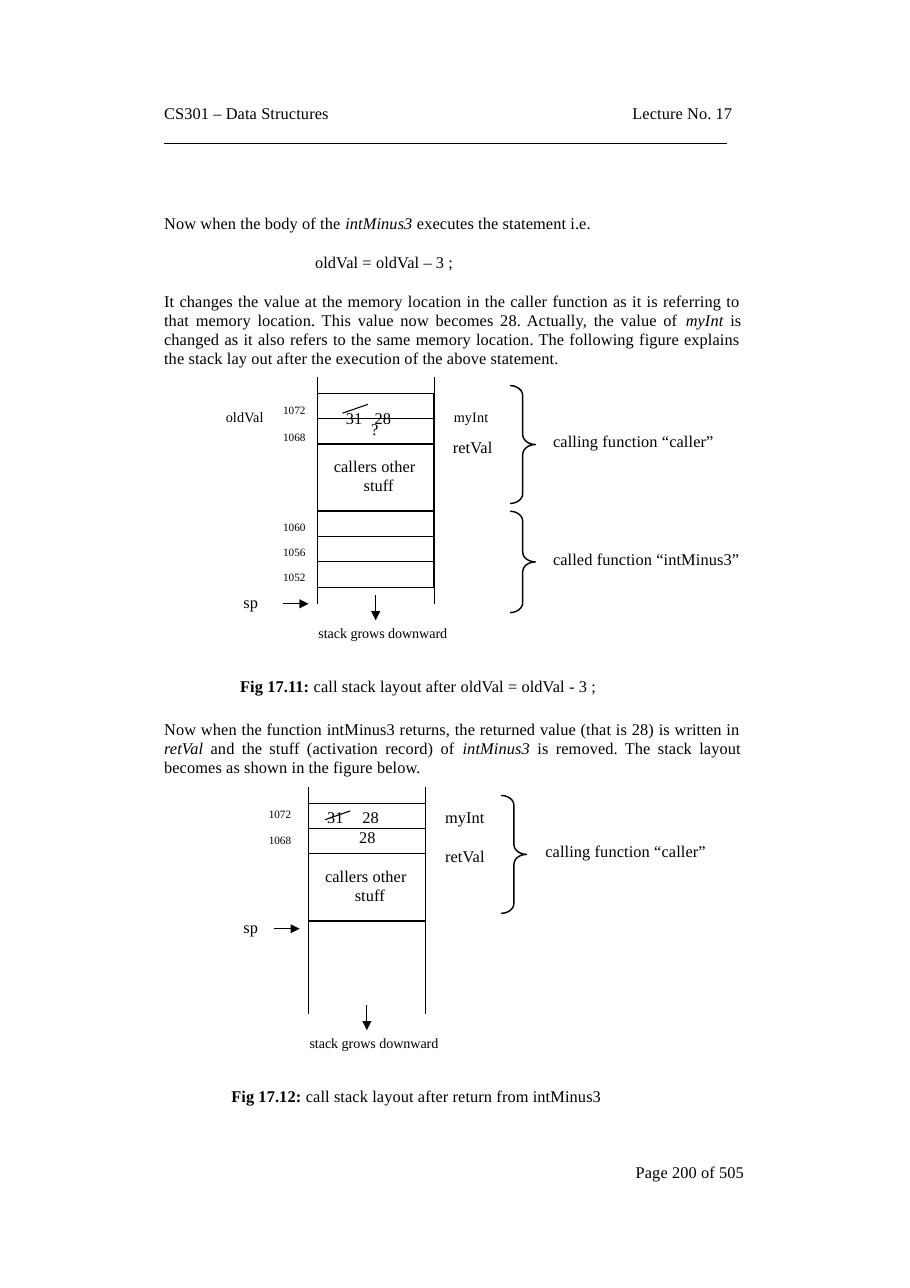
from lxml import etree
from pptx import Presentation
from pptx import util as u
from pptx.dml.color import RGBColor
from pptx.enum import shapes, text
from pptx.oxml import ns

PX = 9144  # 100 px to the inch
INK = "000000"
FONT = "Times New Roman"
BODY, NOTE, CAPTION, ADDRESS = 10.7, 9.3, 9.2, 7.3
LEADING = 12.4
SPACING = {BODY: 8, NOTE: 10, CAPTION: -6, ADDRESS: 0}

TITLE = "CS301 – Data Structures"
LINES = [  # x, y, text
    (574, 94, "Lecture No. 17"),
    (286, 229, "oldVal = oldVal – 3 ;"),
    (577, 1055, "Page 200 of 505"),
]
PARAGRAPHS = [  # y, height, runs of (text, style)
    (194, 18, [("Now when the body of the ", ""), ("intMinus3", "i"),
               (" executes the statement i.e.", "")]),
    (265, 70, [("It changes the value at the memory location in the caller function as "
                "it is referring to that memory location. This value now becomes 28. "
                "Actually, the value of ", ""), ("myInt", "i"),
               (" is changed as it also refers to the same memory location. The following "
                "figure explains the stack lay out after the execution of the above "
                "statement.", "")]),
    (653, 53, [("Now when the function intMinus3 returns, the returned value (that is 28) "
                "is written in ", ""), ("retVal", "i"),
               (" and the stuff (activation record) of ", ""), ("intMinus3", "i"),
               (" is removed. The stack layout becomes as shown in the figure below.", "")]),
]

# Stack offsets are measured from the top left corner of each stack.
STACK_W, WALL_TOP, WALL_BOTTOM = 106, -15, 191
FIGURES = [
    dict(
        at=(288, 357), height=176, dividers=[23, 46, 107, 130, 153], heavy=[107],
        braces=[(-7, 107), (107, 92)], sp=191, strike=(23, 18),
        labels=[(-83, 14, "oldVal", NOTE), (26, 13, "31", BODY), (52, 13, "28", BODY),
                (49, 23, "?", BODY), (124, 14, "myInt", NOTE), (123, 40, "retVal", BODY),
                (-31, 9, "1072", ADDRESS), (-31, 34, "1068", ADDRESS),
                (-31, 115, "1060", ADDRESS), (-31, 138, "1056", ADDRESS),
                (-31, 161, "1052", ADDRESS), (-67, 180, "sp", BODY),
                (214, 34, "calling function “caller”", BODY),
                (214, 141, "called function “intMinus3”", BODY)],
        caption=[("Fig 17.11: ", "b"), ("call stack layout after oldVal = oldVal - 3 ;", "")],
    ),
    dict(
        at=(280, 729), height=107, dividers=[23, 46], heavy=[],
        braces=[(-7, 107)], sp=114, strike=(15, 15),
        labels=[(17, 4, "31", BODY), (49, 4, "28", BODY), (46, 22, "28", BODY),
                (124, 4, "myInt", BODY), (124, 39, "retVal", BODY),
                (-36, 4, "1072", ADDRESS), (-36, 27, "1068", ADDRESS),
                (-59, 103, "sp", BODY), (215, 34, "calling function “caller”", BODY)],
        caption=[("Fig 17.12: ", "b"),
                 ("call stack layout after return from intMinus3", "")],
    ),
]


def px(*values):
    return [u.Emu(round(v * PX)) for v in values]


def rgb(value):
    return RGBColor.from_string(value)


def write(sp, runs, size, wrap=False):
    """Fill a text shape with one left-aligned paragraph of styled runs."""
    tf = sp.text_frame
    tf.margin_left = tf.margin_right = tf.margin_top = tf.margin_bottom = 0
    tf.word_wrap = wrap
    tf.auto_size = text.MSO_AUTO_SIZE.NONE
    tf.vertical_anchor = text.MSO_ANCHOR.TOP
    p = tf.paragraphs[0]
    p.alignment = text.PP_ALIGN.LEFT
    for words, style in runs:
        r = p.add_run()
        r.text = words
        r.font.name, r.font.size = FONT, u.Pt(size)
        r.font.bold, r.font.italic = style == "b", style == "i"
        r.font.color.rgb = rgb(INK)
        r._r.get_or_add_rPr().set("spc", str(SPACING[size]))
    return p


def add_label(s, x, y, runs, size):
    length = sum(len(words) for words, _ in runs)
    sp = s.shapes.add_textbox(*px(x, y, length * size * 0.66 + 2, size * 1.6))
    write(sp, runs, size)


def add_paragraph(s, x, y, w, h, runs):
    p = write(s.shapes.add_textbox(*px(x, y, w, h)), runs, BODY, wrap=True)
    p.line_spacing = u.Pt(LEADING)
    return p


def add_line(s, x1, y1, x2, y2, width=0.71, arrow=False):
    c = s.shapes.add_connector(shapes.MSO_CONNECTOR.STRAIGHT, *px(x1, y1, x2, y2))
    c.line.width = u.Pt(width)
    c.line.color.rgb = rgb(INK)
    if arrow:
        etree.SubElement(c.line._get_or_add_ln(), ns.qn("a:tailEnd"), type="triangle")
    etree.SubElement(c._element.spPr, ns.qn("a:effectLst"))


def add_outline(s, kind, x, y, w, h, width):
    sp = s.shapes.add_shape(kind, *px(x, y, w, h))
    sp.shadow.inherit = False
    sp.fill.background()
    sp.line.width = u.Pt(width)
    sp.line.color.rgb = rgb(INK)
    return sp


def add_figure(s, fig):
    x, y = fig["at"]
    bottom = y + fig["height"]
    add_outline(s, shapes.MSO_SHAPE.RECTANGLE, x, y, STACK_W, fig["height"], 0.71)
    for wall in (x, x + STACK_W):
        add_line(s, wall, y, wall, y + WALL_TOP)
        add_line(s, wall, bottom, wall, y + WALL_BOTTOM)
    for d in fig["dividers"]:
        add_line(s, x, y + d, x + STACK_W, y + d, 1.41 if d in fig["heavy"] else 0.71)
    for top, h in fig["braces"]:
        brace = add_outline(s, shapes.MSO_SHAPE.RIGHT_BRACE, x + 175, y + top, 23, h, 0.94)
        brace.adjustments[0] = 0.39

    dx, dy = fig["strike"]
    add_line(s, x + dx, y + dy, x + dx + 23, y + dy - 8)
    add_line(s, x - 31, y + fig["sp"], x - 8, y + fig["sp"], arrow=True)
    add_line(s, x + STACK_W / 2, y + 183, x + STACK_W / 2, y + 206, arrow=True)

    for dx, dy, words, size in fig["labels"]:
        add_label(s, x + dx, y + dy, [(words, "")], size)
    p = add_paragraph(s, x + 15, y + 58, 78, 36, [("callers other stuff", "")])
    pPr = p._p.get_or_add_pPr()
    pPr.set("marL", str(27 * PX))
    pPr.set("indent", str(-27 * PX))
    add_label(s, x + 1, y + 210, [("stack grows downward", "")], CAPTION)
    add_label(s, x - 70, y + 257, fig["caption"], BODY)


def main():
    prs = Presentation()
    prs.slide_width, prs.slide_height = px(826, 1169)
    s = prs.slides.add_slide(prs.slide_layouts[5])

    title = s.shapes.title
    title.left, title.top, title.width, title.height = px(149, 94, 160, 18)
    write(title, [(TITLE, "")], BODY)
    add_line(s, 149, 130, 660, 130, 0.45)

    for x, y, words in LINES:
        add_label(s, x, y, [(words, "")], BODY)
    for y, h, runs in PARAGRAPHS:
        p = add_paragraph(s, 149, y, 524, h, runs)
        p.alignment = text.PP_ALIGN.JUSTIFY
    for fig in FIGURES:
        add_figure(s, fig)
    prs.save("out.pptx")


if __name__ == "__main__":
    main()
